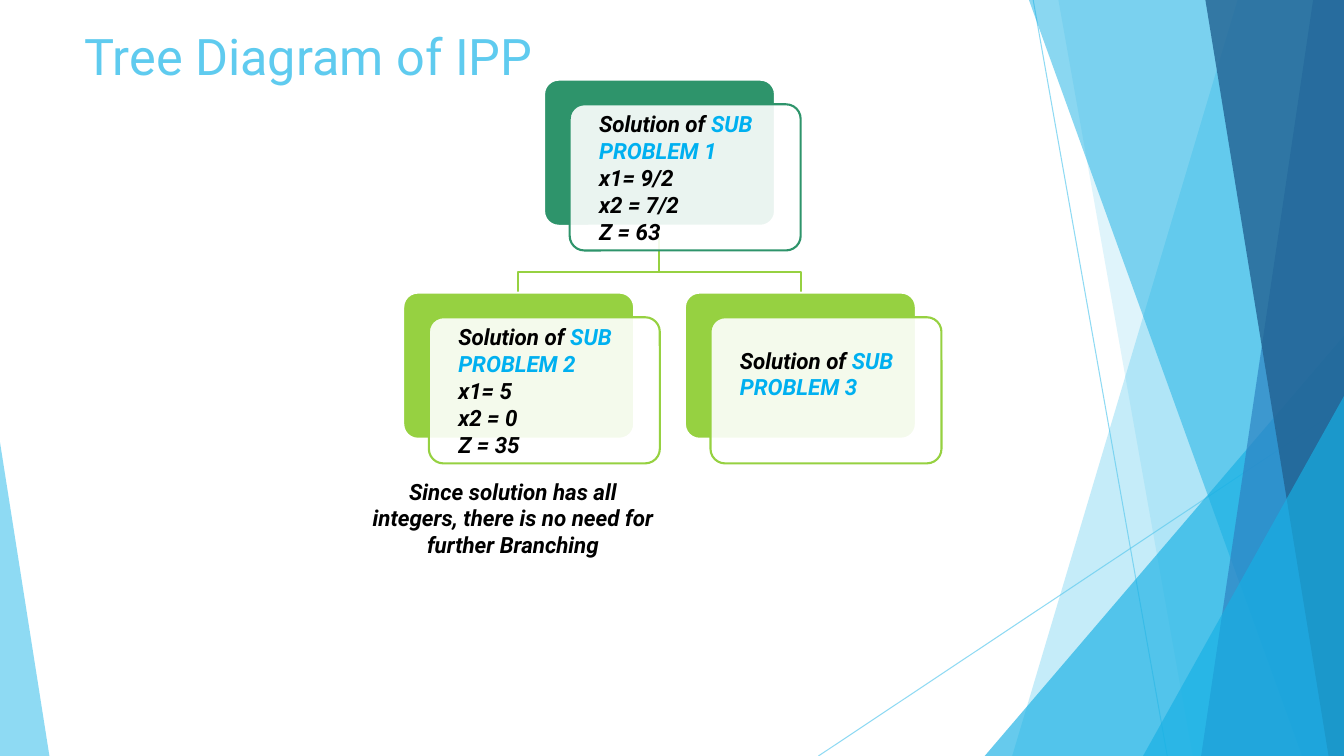
from dataclasses import dataclass

from lxml import etree
from pptx import Presentation
from pptx.dml.color import RGBColor
from pptx.enum.shapes import MSO_CONNECTOR, MSO_SHAPE
from pptx.enum.text import MSO_ANCHOR, PP_ALIGN
from pptx.oxml.ns import qn
from pptx.util import Pt

ROUNDED, TRIANGLE = MSO_SHAPE.ROUNDED_RECTANGLE, MSO_SHAPE.ISOSCELES_TRIANGLE
STRAIGHT = MSO_CONNECTOR.STRAIGHT
TOP, MIDDLE = MSO_ANCHOR.TOP, MSO_ANCHOR.MIDDLE
LEFT, CENTER = PP_ALIGN.LEFT, PP_ALIGN.CENTER

SKY = RGBColor(0x5F, 0xCB, 0xEF)
CYAN = RGBColor(0x17, 0xB0, 0xE4)
BLUE = RGBColor(0x2E, 0x83, 0xC3)
NAVY = RGBColor(0x22, 0x62, 0x92)
GREEN = RGBColor(0x2E, 0x94, 0x6B)
LIME = RGBColor(0x96, 0xD1, 0x41)
ACCENT = RGBColor(0x00, 0xB0, 0xF0)
BLACK = RGBColor(0, 0, 0)
WHITE = RGBColor(255, 255, 255)

FONT = "Roboto"
SLIDE_W, SLIDE_H = 960, 540
CARD_W, CARD_H = 165, 104.4
SHIFT_X, SHIFT_Y = 18.3, 17.6
ROOT_X, BRANCH = 388.6, 100.6
ROOT_Y, CHILD_Y, BEND_Y = 56.9, 209, 193.7


@dataclass
class Ray:
    x1: float
    y1: float
    x2: float
    y2: float


@dataclass
class Band:
    """Area from a slanted left edge to the right side of the slide."""
    top_x: float
    bottom_x: float
    color: RGBColor
    opacity: int


@dataclass
class Wedge:
    """Right triangle standing on the bottom of the slide."""
    left: float
    top: float
    width: float
    apex: float
    color: RGBColor
    opacity: int


@dataclass
class Node:
    left: float
    top: float
    color: RGBColor
    number: int
    values: tuple[str, ...]
    anchor: MSO_ANCHOR = MIDDLE


RAYS = [Ray(738, 0, 833.8, 540), Ray(960, 290.2, 584.6, 540)]
FACETS = [
    Band(884.2, 722.9, SKY, 36),
    Band(756, 851.8, SKY, 20),
    Wedge(703.4, 239.8, 256.6, 1, CYAN, 66),
    Band(735.1, 929.5, CYAN, 50),
    Band(938.2, 858.2, BLUE, 70),
    Band(861.1, 949, NAVY, 80),
    Wedge(816.5, 283, 143.5, 1, CYAN, 66),
    Wedge(0, 316, 35.3, 0, SKY, 70),
]
NODES = [
    Node(ROOT_X, ROOT_Y, GREEN, 1, ("x1= 9/2", "x2 = 7/2", "Z = 63")),
    Node(ROOT_X - BRANCH, CHILD_Y, LIME, 2, ("x1= 5", "x2 = 0", "Z = 35")),
    Node(ROOT_X + BRANCH, CHILD_Y, LIME, 3, (), TOP),
]


def set_opacity(shape, percent: int) -> None:
    color = shape._element.spPr.find(".//" + qn("a:srgbClr"))
    etree.SubElement(color, qn("a:alpha"), val=str(percent * 1000))


def fill_shape(shape, color: RGBColor, opacity: int = 100) -> None:
    shape.shadow.inherit = False
    shape.fill.solid()
    shape.fill.fore_color.rgb = color
    if opacity < 100:
        set_opacity(shape, opacity)
    shape.line.fill.background()


def set_line(shape, color: RGBColor, width: float) -> None:
    shape.line.color.rgb = color
    shape.line.width = Pt(width)


def polyline(s, points: list[tuple[float, float]], close: bool):
    builder = s.shapes.build_freeform(*points[0], scale=Pt(1))
    builder.add_line_segments(points[1:], close=close)
    return builder.convert_to_shape()


def add_ray(s, ray: Ray) -> None:
    line = s.shapes.add_connector(STRAIGHT, Pt(ray.x1), Pt(ray.y1), Pt(ray.x2), Pt(ray.y2))
    set_line(line, SKY, 0.75)
    set_opacity(line, 70)
    etree.SubElement(line._element.spPr, qn("a:effectLst"))


def add_facet(s, facet: Band | Wedge) -> None:
    if isinstance(facet, Band):
        corners = [(facet.top_x, 0), (SLIDE_W, 0), (SLIDE_W, SLIDE_H), (facet.bottom_x, SLIDE_H)]
        shape = polyline(s, corners, True)
    else:
        shape = s.shapes.add_shape(TRIANGLE, Pt(facet.left), Pt(facet.top),
                                   Pt(facet.width), Pt(SLIDE_H - facet.top))
        shape.adjustments[0] = facet.apex
    fill_shape(shape, facet.color, facet.opacity)


def style_run(r, color: RGBColor, size: float = 16, emphasis: bool = True) -> None:
    r.font.name = FONT
    r.font.size = Pt(size)
    r.font.color.rgb = color
    r.font.bold = r.font.italic = emphasis


def add_branch(s, child: Node) -> None:
    start, end = ROOT_X + CARD_W / 2, child.left + CARD_W / 2
    points = [(start, ROOT_Y + CARD_H), (start, BEND_Y), (end, BEND_Y), (end, child.top)]
    branch = polyline(s, points, False)
    branch.shadow.inherit = False
    branch.fill.background()
    set_line(branch, LIME, 1.5)


def add_card(s, left: float, top: float, fill: RGBColor, line: RGBColor, opacity: int = 100):
    card = s.shapes.add_shape(ROUNDED, Pt(left), Pt(top), Pt(CARD_W), Pt(CARD_H))
    card.adjustments[0] = 0.1
    fill_shape(card, fill, opacity)
    set_line(card, line, 1.5)
    return card


def add_node(s, node: Node) -> None:
    add_card(s, node.left, node.top, node.color, WHITE)
    card = add_card(s, node.left + SHIFT_X, node.top + SHIFT_Y, WHITE, node.color, 90)
    tf = card.text_frame
    tf.word_wrap = True
    tf.vertical_anchor = node.anchor
    tf.margin_left = tf.margin_right = tf.margin_top = tf.margin_bottom = Pt(18)
    tf.text = "\n".join(("Solution of ", *node.values))
    tf.paragraphs[0].add_run().text = f"SUB PROBLEM {node.number}"
    for p in tf.paragraphs:
        p.alignment = LEFT
        for r in p.runs:
            style_run(r, BLACK)
    style_run(tf.paragraphs[0].runs[1], ACCENT)


def add_text(s, left: float, top: float, width: float, height: float, text: str):
    tf = s.shapes.add_textbox(Pt(left), Pt(top), Pt(width), Pt(height)).text_frame
    tf.word_wrap = True
    tf.text = text
    return tf


def main() -> None:
    prs = Presentation()
    prs.slide_width, prs.slide_height = Pt(SLIDE_W), Pt(SLIDE_H)
    s = prs.slides.add_slide(prs.slide_layouts[6])

    # Faceted background
    for ray in RAYS:
        add_ray(s, ray)
    for facet in FACETS:
        add_facet(s, facet)

    # Title
    tf = add_text(s, 53.3, 10.8, 676.8, 57.6, "Tree Diagram of IPP")
    tf.vertical_anchor = MIDDLE
    style_run(tf.paragraphs[0].runs[0], SKY, 36, False)

    # Tree
    for child in NODES[1:]:
        add_branch(s, child)
    for node in NODES:
        add_node(s, node)

    # Remark under the second problem
    tf = add_text(s, 253.4, 337.7, 226.1, 53.3,
                  "Since solution has all integers, there is no need for further Branching")
    tf.paragraphs[0].alignment = CENTER
    style_run(tf.paragraphs[0].runs[0], BLACK)

    prs.save("out.pptx")


if __name__ == "__main__":
    main()
